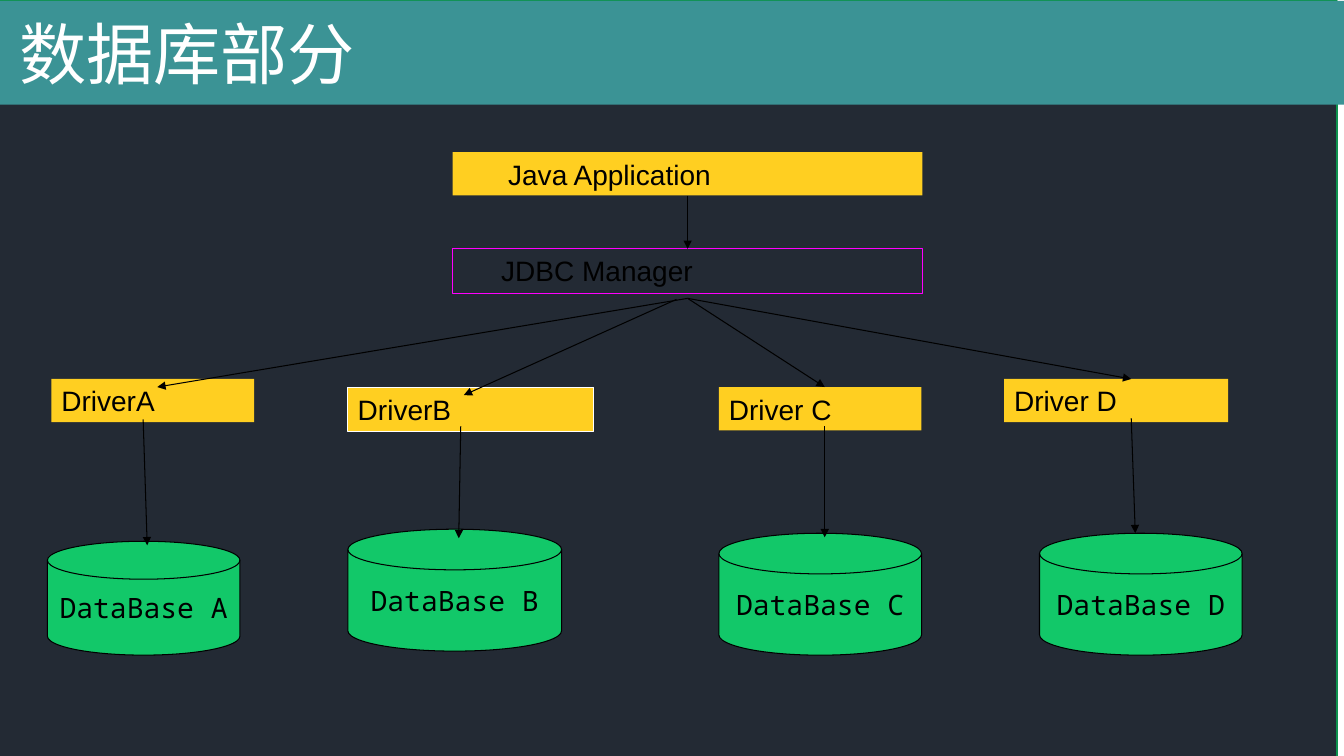
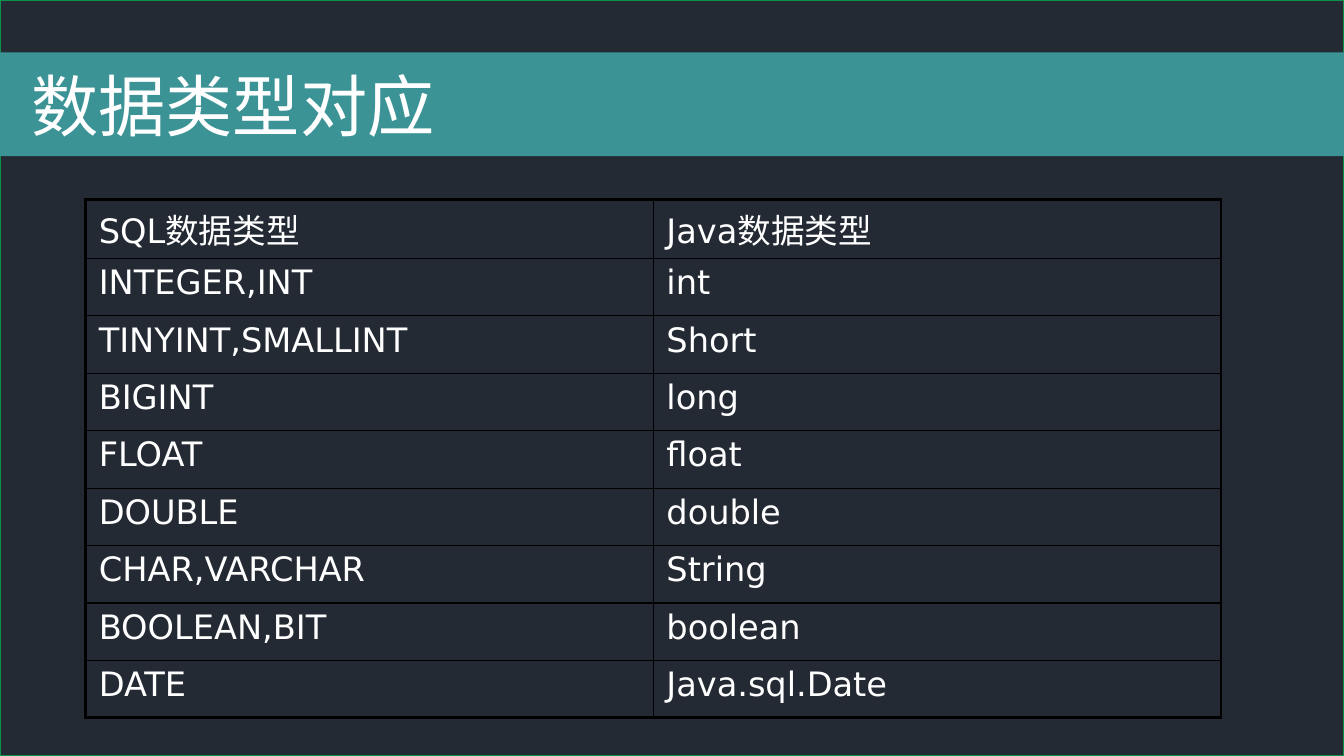
from lxml import etree
from pptx import Presentation
from pptx.dml.color import RGBColor
from pptx.enum.shapes import MSO_CONNECTOR, MSO_SHAPE
from pptx.enum.text import MSO_ANCHOR, MSO_AUTO_SIZE, PP_ALIGN
from pptx.oxml.ns import qn
from pptx.util import Inches, Pt

RECT, DISK = MSO_SHAPE.RECTANGLE, MSO_SHAPE.FLOWCHART_MAGNETIC_DISK
STRAIGHT = MSO_CONNECTOR.STRAIGHT
TOP, MIDDLE = MSO_ANCHOR.TOP, MSO_ANCHOR.MIDDLE
LEFT, CENTER = PP_ALIGN.LEFT, PP_ALIGN.CENTER
FIXED = MSO_AUTO_SIZE.NONE

WHITE = RGBColor(0xFF, 0xFF, 0xFF)
BLACK = RGBColor(0, 0, 0)
DARK = RGBColor(0x23, 0x2A, 0x34)
EDGE = RGBColor(0x0D, 0x92, 0x4D)
TEAL = RGBColor(0x3B, 0x93, 0x95)
GOLD = RGBColor(0xFF, 0xCF, 0x21)
GREEN = RGBColor(0x12, 0xC8, 0x69)
PINK = RGBColor(0xFF, 0x00, 0xFF)

HEAD = {"size": Pt(48), "name": "Noto Sans Mono"}
LABEL = {"size": Pt(20), "name": "Arial"}
STORE = {"size": Pt(20), "name": "Noto Sans Mono"}
CELL = {"size": Pt(24), "name": "DejaVu Sans"}
WIDE, HIGH, BAND = 13.33, 7.5, 1.03

# Name, driver box, disk box, arrow into the driver, arrow into the disk
DRIVERS = [
    ("DriverA", "DataBase A", (0.51, 3.76, 2.01, 0.43), (0.47, 5.37, 1.91, 1.13),
     (6.82, 2.96, 1.56, 3.84), (1.42, 4.16, 1.46, 5.41)),
    ("DriverB", "DataBase B", (3.45, 3.84, 2.44, 0.44), (3.45, 5.25, 2.12, 1.21),
     (6.71, 2.97, 4.6, 3.92), (4.57, 4.23, 4.55, 5.34)),
    ("Driver C", "DataBase C", (7.13, 3.84, 2.01, 0.43), (7.13, 5.29, 2.01, 1.21),
     (6.82, 2.96, 8.18, 3.84), (8.18, 4.23, 8.18, 5.33)),
    ("Driver D", "DataBase D", (9.96, 3.76, 2.22, 0.43), (10.31, 5.29, 2.01, 1.21),
     (6.82, 2.96, 11.22, 3.76), (11.22, 4.15, 11.26, 5.29)),
]

TYPES = [
    ("SQL数据类型", "Java数据类型"),
    ("INTEGER,INT", "int"),
    ("TINYINT,SMALLINT", "Short"),
    ("BIGINT", "long"),
    ("FLOAT", "float"),
    ("DOUBLE", "double"),
    ("CHAR,VARCHAR", "String"),
    ("BOOLEAN,BIT", "boolean"),
    ("DATE", "Java.sql.Date"),
]


def inches(box):
    return [Inches(v) for v in box]


def write(frame, text, style, color, align=LEFT):
    para = frame.paragraphs[0]
    para.alignment = align
    run = para.add_run()
    run.text = text
    for key, value in style.items():
        setattr(run.font, key, value)
    run.font.color.rgb = color


def block(slide, kind, box, fill=None, line=None, width=0.75):
    shape = slide.shapes.add_shape(kind, *inches(box))
    shape.shadow.inherit = False
    if fill is None:
        shape.fill.background()
    else:
        shape.fill.solid()
        shape.fill.fore_color.rgb = fill
    if line is None:
        shape.line.fill.background()
    else:
        shape.line.color.rgb = line
        shape.line.width = Pt(width)
    return shape


def label(slide, box, text, fill=GOLD, line=None, inset=0.1):
    shape = block(slide, RECT, box, fill, line)
    frame = shape.text_frame
    frame.vertical_anchor = TOP
    frame.margin_left = Inches(inset)
    write(frame, text, LABEL, BLACK)
    return shape


def disk(slide, box, text):
    frame = block(slide, DISK, box, GREEN, BLACK).text_frame
    frame.vertical_anchor = MIDDLE
    frame.word_wrap = False
    write(frame, text, STORE, BLACK, CENTER)


def arrow(slide, ends):
    link = slide.shapes.add_connector(STRAIGHT, *inches(ends))
    link.line.color.rgb = BLACK
    link.line.width = Pt(0.75)
    etree.SubElement(link.line._get_or_add_ln(), qn("a:tailEnd"), type="triangle")
    etree.SubElement(link.element.spPr, qn("a:effectLst"))
    return link


def frame_slide(deck, text, panel, top, box):
    """Dark panel, teal band and title, shared by all slides."""
    slide = deck.slides.add_slide(deck.slide_layouts[5])
    block(slide, RECT, panel, DARK, EDGE, 1)
    block(slide, RECT, (0, top, WIDE, BAND), TEAL)
    title = slide.shapes.title
    title.left, title.top, title.width, title.height = inches(box)
    title.element.getparent().append(title.element)
    frame = title.text_frame
    look = {"auto_size": FIXED, "word_wrap": True, "vertical_anchor": MIDDLE}
    for side in ("left", "top", "right", "bottom"):
        look["margin_" + side] = Inches(0.05)
    for key, value in look.items():
        setattr(frame, key, value)
    write(frame, text, HEAD, WHITE)
    return slide


def border(cell, sides):
    props = cell._tc.get_or_add_tcPr()
    for side, width in sides.items():
        line = etree.SubElement(props, qn("a:ln" + side), w=str(Pt(width)))
        fill = etree.SubElement(line, qn("a:solidFill"))
        etree.SubElement(fill, qn("a:srgbClr"), val=str(BLACK))


def grid(slide, box, rows):
    count, cols = len(rows), len(rows[0])
    table = slide.shapes.add_table(count, cols, *inches(box)).table
    table.first_row = table.horz_banding = False
    for r, row in enumerate(rows):
        table.rows[r].height = Inches(0.58 if r == 0 else 0.57)
        for c, text in enumerate(row):
            cell = table.cell(r, c)
            cell.margin_left = cell.margin_right = Inches(0.13)
            outer = {"L": c == 0, "R": c == cols - 1,
                     "T": r == 0, "B": r == count - 1}
            border(cell, {s: 2.25 if out else 1 for s, out in outer.items()})
            cell.fill.background()
            write(cell.text_frame, text, CELL, WHITE)


def driver_slide(deck):
    slide = frame_slide(deck, "数据库部分", (-0.07, 0.01, WIDE, HIGH), 0.01,
                        (0.14, 0.01, 12.81, BAND))
    # Application and manager
    app = label(slide, (4.49, 1.51, 4.66, 0.43), "Java Application", inset=0.55)
    boss = label(slide, (4.49, 2.47, 4.66, 0.44), "JDBC Manager", None, PINK, 0.48)
    link = arrow(slide, (6.82, 1.94, 6.82, 2.47))
    link.begin_connect(app, 2)
    link.end_connect(boss, 0)
    # Drivers and their databases
    for name, base, box, drum, down, out in DRIVERS:
        label(slide, box, name, line=WHITE if name == "DriverB" else None)
        disk(slide, drum, base)
        arrow(slide, down)
        arrow(slide, out)


def type_slide(deck):
    slide = frame_slide(deck, "数据类型对应", (0, 0, WIDE, HIGH), 0.52,
                        (0.26, 0.58, 12.81, 0.91))
    grid(slide, (0.85, 1.98, 11.26, 5.12), TYPES)


def main():
    deck = Presentation()
    deck.slide_width, deck.slide_height = Inches(WIDE), Inches(HIGH)
    driver_slide(deck)
    type_slide(deck)
    deck.save("out.pptx")


if __name__ == "__main__":
    main()
